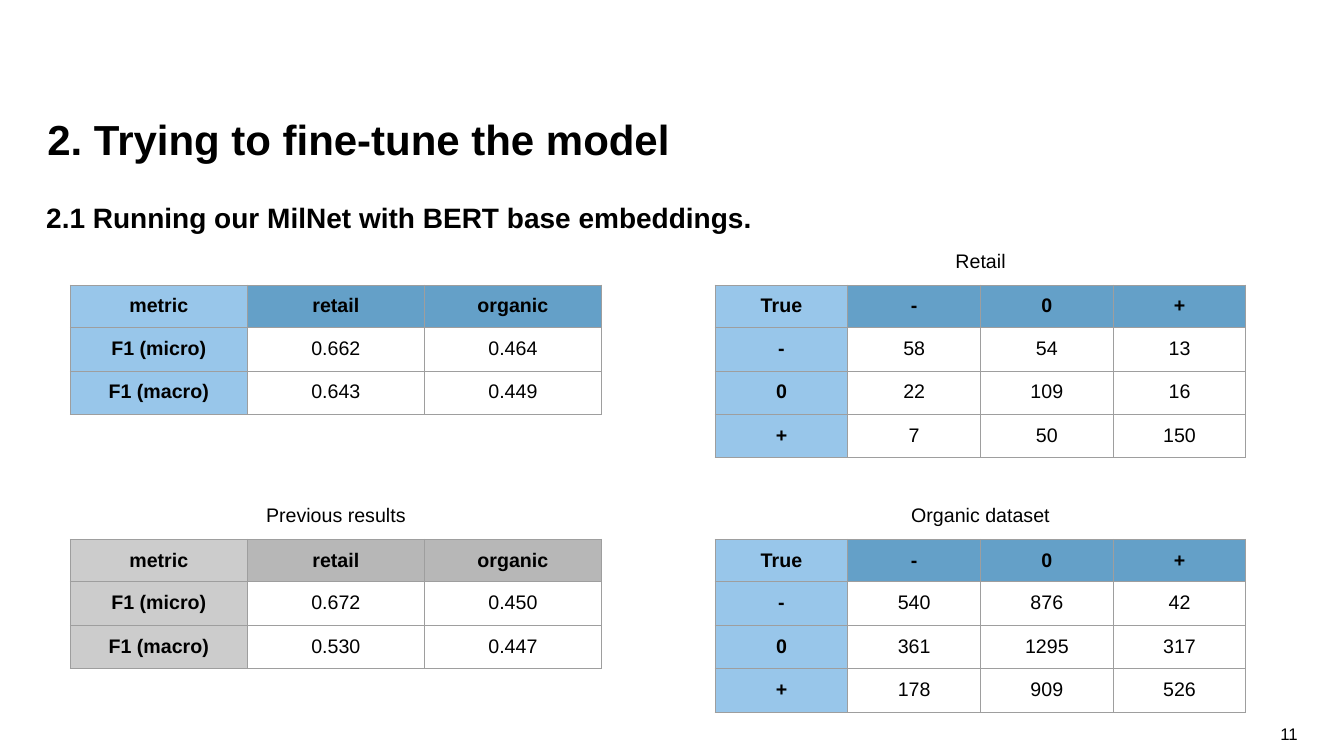
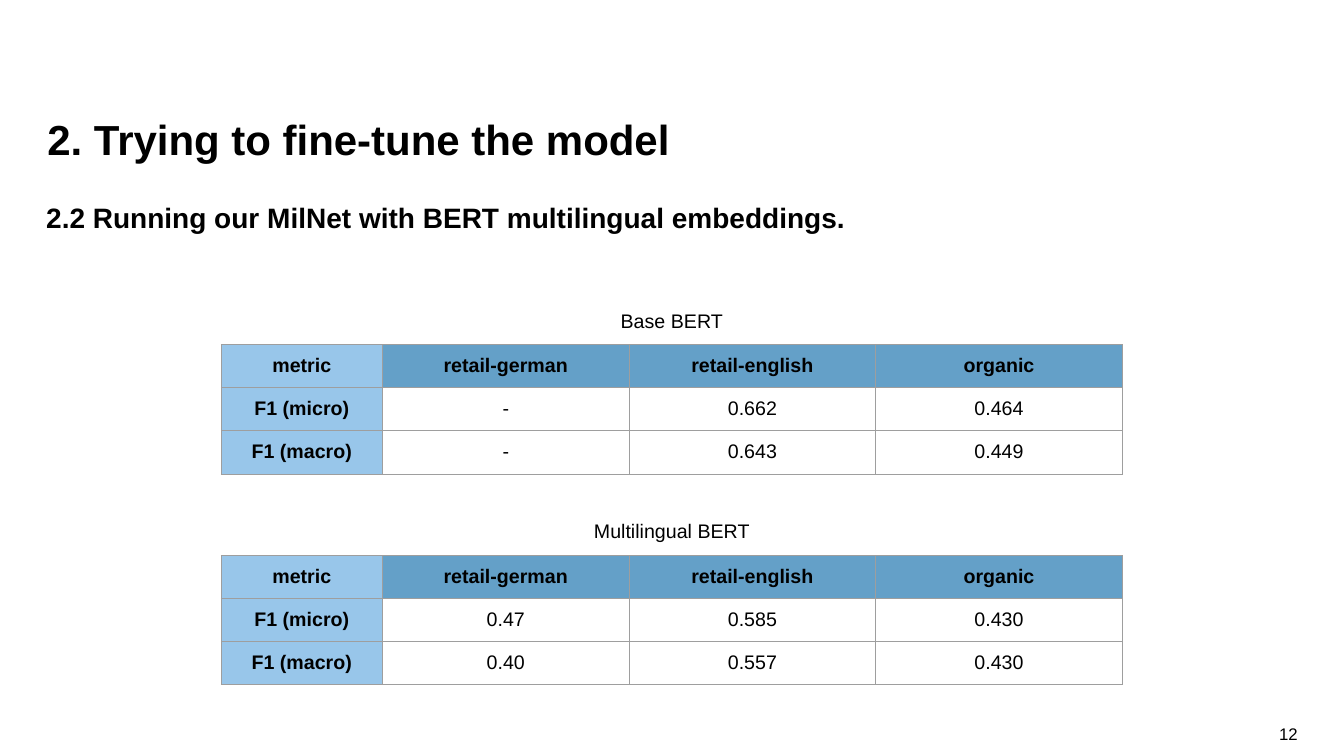
import lxml.etree
import pptx
import pptx.dml.color
import pptx.enum.text
import pptx.oxml.ns
import pptx.util

Pt = pptx.util.Pt
ALIGN = pptx.enum.text.PP_ALIGN
ANCHOR = pptx.enum.text.MSO_ANCHOR

BLUE = ("98C6EA", "64A0C8")
GRAY = ("CCCCCC", "B7B7B7")


def color(hex_string):
    return pptx.dml.color.RGBColor.from_string(hex_string)


class Deck:
    FONT = "Arial"
    TEXT = "000000"
    BORDER = "9E9E9E"
    HEADER_HEIGHT = 30.5
    ROW_HEIGHT = 31
    CAPTION_HEIGHT = 33
    CELL_INSET = 7.2

    def __init__(self):
        self.presentation = pptx.Presentation()
        self.presentation.slide_width = Pt(960)
        self.presentation.slide_height = Pt(540)
        self.slide = None

    def add_slide(self, title, subtitle, number):
        layout = self.presentation.slide_layouts.get_by_name("Title Only")
        self.slide = self.presentation.slides.add_slide(layout)
        self.place(self.slide.shapes.title, 33.8, 78.5, 893, 32.4)
        self.set_text(self.slide.shapes.title.text_frame, title, 30, bold=True, spacing=1.07)
        self.add_text(subtitle, 33, 139.7, 852, 28, 20, bold=True, spacing=1.14)
        self.add_text(number, 711, 510, 216, 28.8, 12, align=ALIGN.RIGHT, anchor=ANCHOR.MIDDLE)

    def place(self, shape, left, top, width, height):
        shape.left, shape.top = Pt(left), Pt(top)
        shape.width, shape.height = Pt(width), Pt(height)

    def set_text(self, frame, text, size, bold=False, align=ALIGN.LEFT,
                 anchor=ANCHOR.TOP, inset=0, spacing=1.0):
        frame.text = text
        frame.word_wrap = True
        frame.auto_size = pptx.enum.text.MSO_AUTO_SIZE.NONE
        frame.vertical_anchor = anchor
        frame.margin_left = frame.margin_right = Pt(inset)
        frame.margin_top = frame.margin_bottom = Pt(inset)
        self.style_paragraph(frame.paragraphs[0], size, bold, align, spacing)

    def style_paragraph(self, paragraph, size, bold, align, spacing=1.0):
        paragraph.alignment = align
        paragraph.line_spacing = spacing
        for run in paragraph.runs:
            run.font.name = self.FONT
            run.font.size = Pt(size)
            run.font.bold = bold
            run.font.color.rgb = color(self.TEXT)

    def add_text(self, text, left, top, width, height, size, **style):
        box = self.slide.shapes.add_textbox(Pt(left), Pt(top), Pt(width), Pt(height))
        self.set_text(box.text_frame, text, size, **style)

    def add_table(self, rows, left, top, widths, fills=BLUE, caption=None):
        """Draw a table with its caption above; fills are first column, then header."""
        height = self.HEADER_HEIGHT + self.ROW_HEIGHT * (len(rows) - 1)
        frame = self.slide.shapes.add_table(
            len(rows), len(widths), Pt(left), Pt(top), Pt(sum(widths)), Pt(height))
        table = frame.table
        table.first_row = table.horz_banding = False
        for column, width in zip(table.columns, widths):
            column.width = Pt(width)
        for row_index, values in enumerate(rows):
            table.rows[row_index].height = Pt(self.ROW_HEIGHT if row_index else self.HEADER_HEIGHT)
            for column_index, value in enumerate(values):
                cell = table.cell(row_index, column_index)
                is_label = row_index == 0 or column_index == 0
                self.fill_cell(cell, value, is_label)
                if is_label:
                    cell.fill.solid()
                    cell.fill.fore_color.rgb = color(fills[min(column_index, 1)])
                else:
                    cell.fill.background()
        if caption:
            self.add_text(caption, left, top - self.CAPTION_HEIGHT, sum(widths),
                          self.CAPTION_HEIGHT, 14, align=ALIGN.CENTER, inset=self.CELL_INSET)

    def fill_cell(self, cell, value, bold):
        cell.text_frame.text = value
        cell.margin_left = cell.margin_right = Pt(self.CELL_INSET)
        cell.margin_top = cell.margin_bottom = Pt(self.CELL_INSET)
        self.style_paragraph(cell.text_frame.paragraphs[0], 14, bold, ALIGN.CENTER)
        self.add_borders(cell)

    def add_borders(self, cell):
        qn = pptx.oxml.ns.qn
        properties = cell._tc.get_or_add_tcPr()
        for side in ("a:lnL", "a:lnR", "a:lnT", "a:lnB"):
            line = lxml.etree.SubElement(properties, qn(side), w=str(Pt(0.75)))
            solid = lxml.etree.SubElement(line, qn("a:solidFill"))
            lxml.etree.SubElement(solid, qn("a:srgbClr"), val=self.BORDER)


def metric_rows(datasets, micro, macro):
    return [["metric", *datasets], ["F1 (micro)", *micro], ["F1 (macro)", *macro]]


def confusion_rows(counts):
    classes = ["-", "0", "+"]
    return [["True", *classes]] + [[name, *row] for name, row in zip(classes, counts)]


def main():
    deck = Deck()
    title = "2. Trying to fine-tune the model"

    deck.add_slide(title, "2.1 Running our MilNet with BERT base embeddings.", "11")
    left, right = 50.2, 510.8
    upper, lower = 203.6, 385.2
    metric_widths = [126.5] * 3
    class_widths = [94.8] * 4
    datasets = ["retail", "organic"]
    deck.add_table(metric_rows(datasets, ["0.662", "0.464"], ["0.643", "0.449"]),
                   left, upper, metric_widths)
    deck.add_table(confusion_rows([["58", "54", "13"], ["22", "109", "16"], ["7", "50", "150"]]),
                   right, upper, class_widths, caption="Retail")
    deck.add_table(metric_rows(datasets, ["0.672", "0.450"], ["0.530", "0.447"]),
                   left, lower, metric_widths, GRAY, "Previous results")
    deck.add_table(confusion_rows([["540", "876", "42"], ["361", "1295", "317"],
                                   ["178", "909", "526"]]),
                   right, lower, class_widths, caption="Organic dataset")

    deck.add_slide(title, "2.2 Running our MilNet with BERT multilingual embeddings.", "12")
    datasets = ["retail-german", "retail-english", "organic"]
    results = [
        ("Base BERT", 246.2, ["-", "0.662", "0.464"], ["-", "0.643", "0.449"]),
        ("Multilingual BERT", 396.8, ["0.47", "0.585", "0.430"], ["0.40", "0.557", "0.430"]),
    ]
    for caption, top, micro, macro in results:
        deck.add_table(metric_rows(datasets, micro, macro), 158, top,
                       [115.2] + [176.2] * 3, caption=caption)

    deck.presentation.save("out.pptx")


if __name__ == "__main__":
    main()
